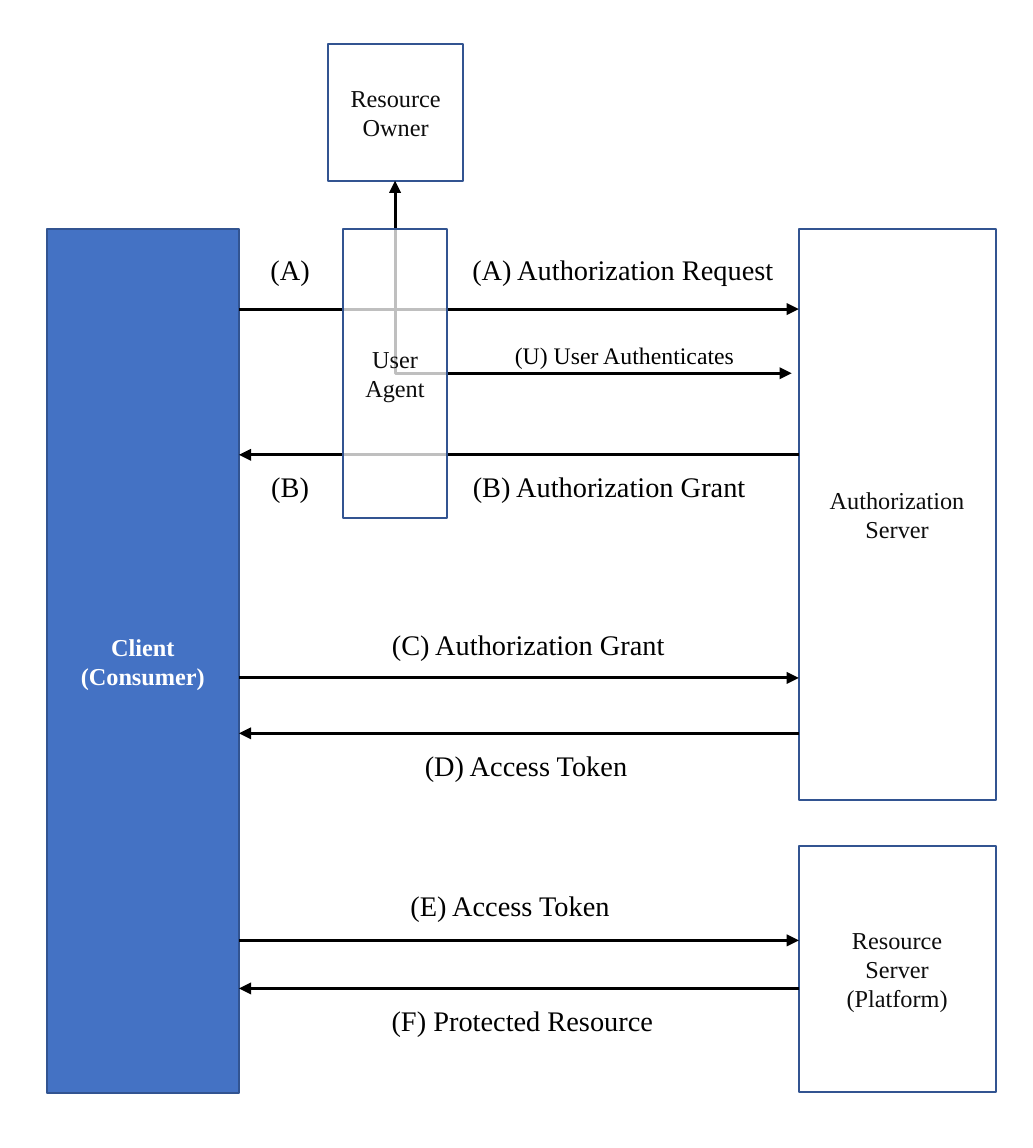
from collections import namedtuple

from lxml import etree
from pptx import Presentation
from pptx.dml.color import RGBColor
from pptx.enum.shapes import MSO_CONNECTOR, MSO_SHAPE
from pptx.enum.text import MSO_ANCHOR, MSO_AUTO_SIZE, PP_ALIGN
from pptx.oxml.ns import qn
from pptx.util import Inches, Pt

STRAIGHT, ELBOW = MSO_CONNECTOR.STRAIGHT, MSO_CONNECTOR.ELBOW
RECTANGLE = MSO_SHAPE.RECTANGLE
MIDDLE, TOP = MSO_ANCHOR.MIDDLE, MSO_ANCHOR.TOP
CENTER = PP_ALIGN.CENTER
FIT_SHAPE = MSO_AUTO_SIZE.SHAPE_TO_FIT_TEXT

WHITE = RGBColor(0xFF, 0xFF, 0xFF)
BLACK = RGBColor(0x00, 0x00, 0x00)
INK = RGBColor(0x0D, 0x0D, 0x0D)
BLUE = RGBColor(0x44, 0x72, 0xC4)
BORDER = RGBColor(0x32, 0x54, 0x91)
FONT = "Times New Roman"
LABEL_HEIGHT = 0.34
CM_PER_INCH = 2.54

Box = namedtuple("Box", "left top width height")
CLIENT = Box(0.32, 1.57, 1.32, 5.93)
AUTHORIZATION_SERVER = Box(5.48, 1.57, 1.35, 3.92)
RESOURCE_SERVER = Box(5.48, 5.8, 1.35, 1.69)
RESOURCE_OWNER = Box(2.25, 0.3, 0.93, 0.94)
USER_AGENT = Box(2.35, 1.57, 0.72, 1.98)
CHANNEL_LEFT = CLIENT.left + CLIENT.width
CHANNEL_WIDTH = AUTHORIZATION_SERVER.left - CHANNEL_LEFT


def write_text(shape, text, size, color, bold=False):
    """Fill a shape with centred text, one paragraph per line."""
    shape.text_frame.text = text
    for para in shape.text_frame.paragraphs:
        para.alignment = CENTER
        for span in para.runs:
            span.font.name = FONT
            span.font.size = Pt(size)
            span.font.bold = bold
            span.font.color.rgb = color


def add_party(page, box, text, fill=WHITE, color=INK, bold=False, opacity=100):
    """Draw one bordered participant of the flow."""
    shape = page.shapes.add_shape(RECTANGLE, *map(Inches, box))
    shape.shadow.inherit = False
    shape.fill.solid()
    shape.fill.fore_color.rgb = fill
    if opacity < 100:
        tint = shape._element.spPr.find(qn("a:solidFill"))[0]
        etree.SubElement(tint, qn("a:alpha"), val=str(opacity * 1000))
    shape.line.color.rgb = BORDER
    shape.line.width = Pt(1)
    shape.text_frame.vertical_anchor = MIDDLE
    write_text(shape, text, 12, color, bold)


def add_label(page, box, text, size=14, filled=True):
    """Draw the caption of an arrow."""
    label = page.shapes.add_textbox(*map(Inches, box))
    if filled:
        label.fill.solid()
        label.fill.fore_color.rgb = WHITE
    frame = label.text_frame
    frame.word_wrap = False
    frame.auto_size = FIT_SHAPE
    frame.vertical_anchor = TOP
    write_text(label, text, size, BLACK)


def add_arrow(page, kind, start, end, heads=("tailEnd",)):
    """Draw a black connector with triangular heads."""
    arrow = page.shapes.add_connector(kind, *map(Inches, (*start, *end)))
    arrow.line.color.rgb = BLACK
    arrow.line.width = Pt(1.5)
    outline = arrow.line._get_or_add_ln()
    for head in heads:
        etree.SubElement(outline, qn(f"a:{head}"), type="triangle")
    etree.SubElement(arrow._element.spPr, qn("a:effectLst"))
    return arrow


def draw_exchange(page, box, rise, request, reply):
    """Draw a request along the top of the box and a reply along its bottom."""
    right, bottom = box.left + box.width, box.top + box.height
    add_arrow(page, STRAIGHT, (box.left, box.top), (right, box.top))
    add_arrow(page, STRAIGHT, (right, bottom), (box.left, bottom))
    for captions, top in ((request, box.top - rise), (reply, bottom + 0.05)):
        for text, offset, width in captions:
            add_label(page, Box(box.left + offset, top, width, LABEL_HEIGHT), text)


def draw_authentication(page, box):
    """Link the top left corner of the box to its bottom right by an elbow."""
    middle_x, middle_y = box.left + box.width / 2, box.top + box.height / 2
    half_run, half_rise = box.width / 2, box.height / 2
    elbow = add_arrow(page, ELBOW, (middle_x + half_rise, middle_y - half_run),
                      (middle_x - half_rise, middle_y + half_run),
                      ("headEnd", "tailEnd"))
    properties = elbow._element.spPr
    properties.find(qn("a:xfrm")).set("rot", str(270 * 60000))
    properties.find(qn("a:prstGeom")).set("prst", "bentConnector2")


def draw_user_side(page, agent, owner):
    """Draw the owner, the see-through agent and the authentication step."""
    add_party(page, owner, "Resource\nOwner")
    middle, owner_bottom = agent.left + agent.width / 2, owner.top + owner.height
    turn = agent.top + agent.height / 2
    draw_authentication(page, Box(middle, owner_bottom, 2.72, turn - owner_bottom))
    add_party(page, agent, "User\nAgent", opacity=75)
    add_label(page, Box(agent.left + 1.08, turn - 0.27, 1.71, 0.3),
              "(U) User Authenticates", 11.7, filled=False)


EXCHANGES = [
    (4.65, 0.38, 0.4, [("(C) Authorization Grant", 0.94, 2.09)],
     [("(D) Access Token", 1.17, 1.6)]),
    (6.45, 0.33, 0.41, [("(E) Access Token", 1.07, 1.58)],
     [("(F) Protected Resource", 0.94, 2.01)]),
    (2.12, 1, 0.44, [("(A)", 0.11, 0.48), ("(A) Authorization Request", 1.47, 2.33)],
     [("(B)", 0.11, 0.48), ("(B) Authorization Grant", 1.48, 2.12)]),
]

deck = Presentation()
deck.slide_width = Inches(18 / CM_PER_INCH)
deck.slide_height = Inches(20 / CM_PER_INCH)
page = deck.slides.add_slide(deck.slide_layouts[6])
add_party(page, CLIENT, "Client\n(Consumer)", BLUE, WHITE, bold=True)
add_party(page, AUTHORIZATION_SERVER, "Authorization\nServer")
add_party(page, RESOURCE_SERVER, "Resource\nServer\n(Platform)")
for top, gap, rise, request, reply in EXCHANGES:
    channel = Box(CHANNEL_LEFT, top, CHANNEL_WIDTH, gap)
    draw_exchange(page, channel, rise, request, reply)
draw_user_side(page, USER_AGENT, RESOURCE_OWNER)
deck.save("out.pptx")
